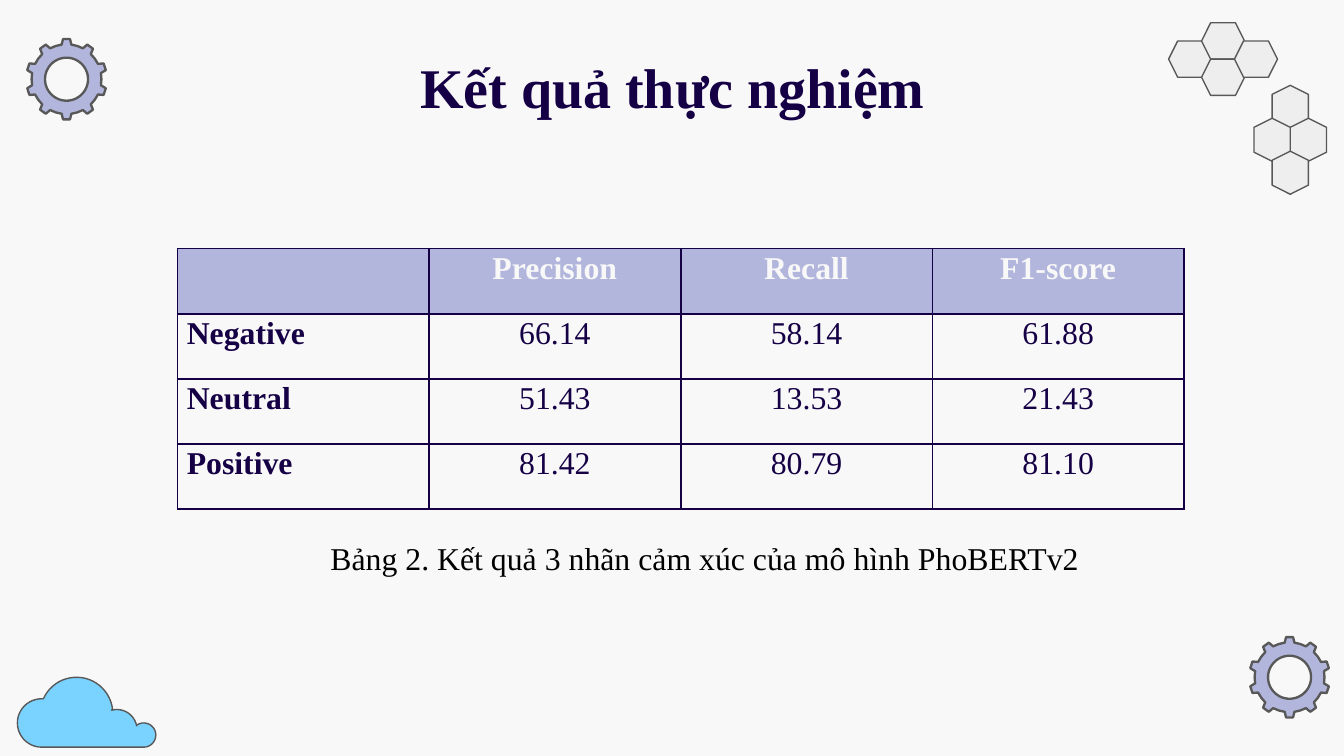
from math import cos, radians, sin

from lxml import etree
from pptx import Presentation
from pptx.dml.color import RGBColor
from pptx.enum import shapes, text
from pptx.oxml import ns
from pptx.util import Inches, Pt

# Content
TITLE = "Kết quả thực nghiệm"
CAPTION = "Bảng 2. Kết quả 3 nhãn cảm xúc của mô hình PhoBERTv2"
RESULTS = [
    ["", "Precision", "Recall", "F1-score"],
    ["Negative", "66.14", "58.14", "61.88"],
    ["Neutral", "51.43", "13.53", "21.43"],
    ["Positive", "81.42", "80.79", "81.10"],
]

# Style
FONT = "Times New Roman"
PAPER = RGBColor(0xF8, 0xF8, 0xF8)
NAVY = RGBColor(0x15, 0x00, 0x45)
BLACK = RGBColor(0, 0, 0)
LILAC = RGBColor(0xB2, 0xB6, 0xDC)
SKY = RGBColor(0x7A, 0xD3, 0xFF)
PALE = RGBColor(0xEE, 0xEE, 0xEE)
GREY = RGBColor(0x58, 0x58, 0x58)

# Decoration: cloud lobes are (centre x, centre y, radius, first angle, last angle)
CLOUD = [
    (0.31, 5.38, 0.18, 90, 270),
    (0.57, 5.31, 0.27, 204, 353),
    (0.87, 5.43, 0.15, 255, 349),
    (1.07, 5.47, 0.09, 236, 450),
]
GEARS = [(0.495, 0.59), (9.595, 5.04)]
TEETH = 10
TOOTH = [(-8, 0.26), (-5, 0.3), (5, 0.3), (8, 0.26), (18, 0.26)]
HONEYCOMBS = [(9.1, 0.44, 0), (9.6, 1.04, 90)]
HEXAGONS = [(-0.245, 0), (0, -0.135), (0, 0.135), (0.245, 0)]
HEX_WIDTH, HEX_HEIGHT = 0.32, 0.27

deck = Presentation()
deck.slide_width = Inches(10)
deck.slide_height = deck.slide_width * 9 // 16
page = deck.slides.add_slide(deck.slide_layouts[6])
page.background.fill.solid()
page.background.fill.fore_color.rgb = PAPER


def polar(x, y, radius, angle):
    turn = radians(angle)
    return Inches(x + radius * cos(turn)), Inches(y + radius * sin(turn))


def paint(shape, fill, width):
    shape.shadow.inherit = False
    shape.fill.solid()
    shape.fill.fore_color.rgb = fill
    shape.line.color.rgb = GREY
    shape.line.width = Pt(width)


def add_outline(contours, fill, width):
    builder = page.shapes.build_freeform(*contours[0][0], scale=1.0)
    for number, points in enumerate(contours):
        if number:
            builder.move_to(*points[0])
        builder.add_line_segments(points[1:], close=True)
    paint(builder.convert_to_shape(), fill, width)


def write(para, words, size, color, bold=False):
    span = para.add_run()
    span.text = words
    span.font.name, span.font.size, span.font.bold = FONT, Pt(size), bold
    span.font.color.rgb = color


def add_text(words, place, inset, size, color, bold, align):
    box = page.shapes.add_textbox(*map(Inches, place))
    frame = box.text_frame
    frame.word_wrap = True
    frame.vertical_anchor = text.MSO_ANCHOR.TOP
    frame.margin_left = frame.margin_right = Inches(0.1)
    frame.margin_top = frame.margin_bottom = Inches(inset)
    frame.paragraphs[0].alignment = align
    write(frame.paragraphs[0], words, size, color, bold)


def add_borders(cell):
    properties = cell._tc.get_or_add_tcPr()
    for index, side in enumerate(("lnL", "lnR", "lnT", "lnB")):
        border = etree.Element(ns.qn("a:" + side), w=str(Pt(1)))
        fill = etree.SubElement(border, ns.qn("a:solidFill"))
        etree.SubElement(fill, ns.qn("a:srgbClr"), val=str(NAVY))
        properties.insert(index, border)


# Cloud
add_outline([[polar(x, y, radius, first + (last - first) * step / 24)
              for x, y, radius, first, last in CLOUD for step in range(25)]],
            SKY, 0.75)

# Gears: toothed rim, then the hole drawn the other way round
for x, y in GEARS:
    rim = [polar(x, y, radius, 360 / TEETH * tooth - 90 + angle)
           for tooth in range(TEETH) for angle, radius in TOOTH]
    hole = [polar(x, y, 0.16, -angle) for angle in range(0, 360, 6)]
    add_outline([rim, hole], LILAC, 1.25)

# Honeycombs: the same cluster, upright and turned
for x, y, turn in HONEYCOMBS:
    for across, down in HEXAGONS:
        if turn:
            across, down = -down, across
        hexagon = page.shapes.add_shape(
            shapes.MSO_SHAPE.HEXAGON,
            Inches(x + across - HEX_WIDTH / 2), Inches(y + down - HEX_HEIGHT / 2),
            Inches(HEX_WIDTH), Inches(HEX_HEIGHT))
        hexagon.adjustments[0] = 0.25
        hexagon.rotation = turn
        paint(hexagon, PALE, 0.75)

# Title and caption
add_text(TITLE, (0.79, 0.29, 8.43, 0.63), 0.1, 30, NAVY, True, text.PP_ALIGN.CENTER)
add_text(CAPTION, (2.36, 3.96, 5.92, 0.39), 0.05, 17, BLACK, False, text.PP_ALIGN.LEFT)

# Results table
rows, columns = len(RESULTS), len(RESULTS[0])
table = page.shapes.add_table(rows, columns, Inches(1.32), Inches(1.85),
                              Inches(7.49), Inches(1.94)).table
table.horz_banding = False
for r, row in enumerate(RESULTS):
    for c, words in enumerate(row):
        cell = table.cell(r, c)
        cell.margin_left = cell.margin_right = Inches(0.07)
        cell.margin_top = cell.margin_bottom = 0
        if r == 0:
            cell.fill.solid()
            cell.fill.fore_color.rgb = LILAC
        else:
            cell.fill.background()
        add_borders(cell)
        if words:
            para = cell.text_frame.paragraphs[0]
            para.alignment = text.PP_ALIGN.CENTER if c else text.PP_ALIGN.JUSTIFY
            para.line_spacing = 1.07
            write(para, words, 17, NAVY if r else PAPER, r == 0 or c == 0)

deck.save("out.pptx")
